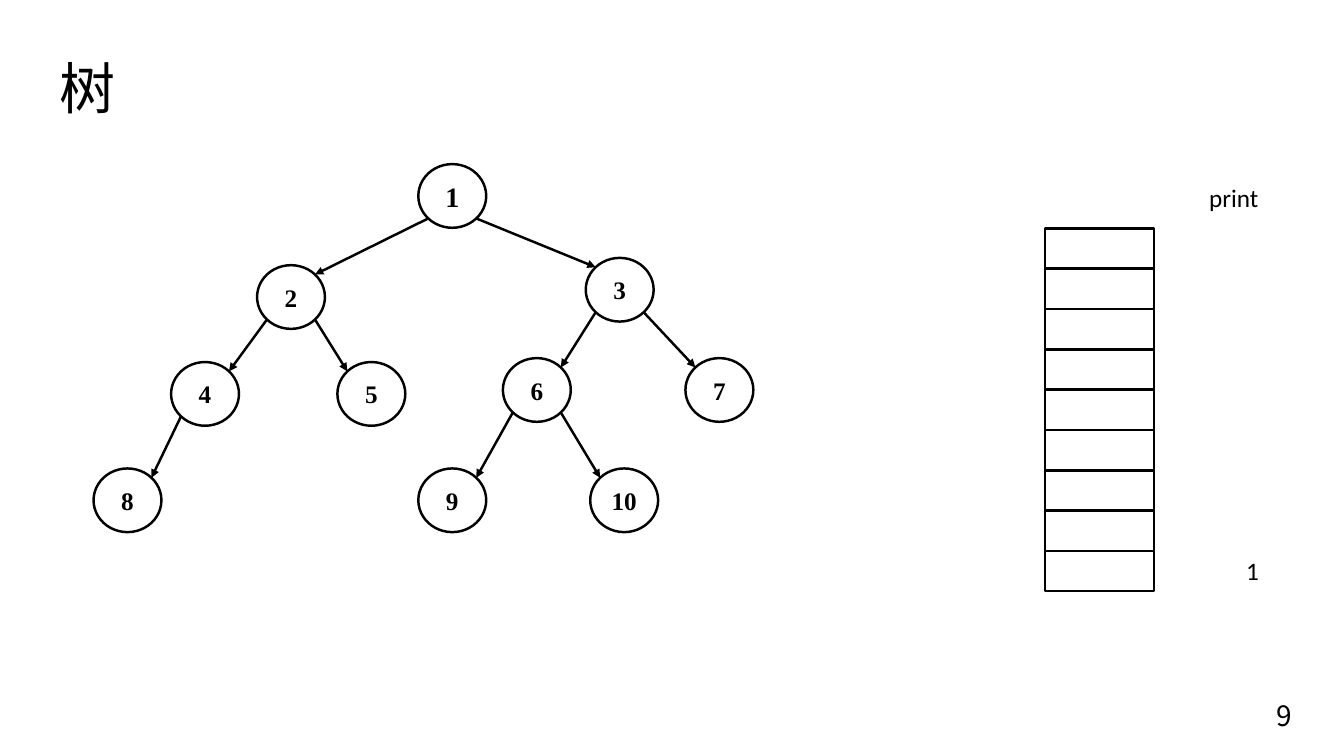
from lxml.etree import SubElement
from pptx import Presentation
from pptx.dml.color import RGBColor
from pptx.enum.shapes import MSO_CONNECTOR as Link, MSO_SHAPE as Preset
from pptx.enum.text import MSO_ANCHOR as Anchor, MSO_AUTO_SIZE as Fit, PP_ALIGN as Align
from pptx.oxml.ns import qn
from pptx.util import Pt

COLORS = {"ink": "000000", "paper": "FFFFFF"}
CJK, SERIF, SANS = "Noto Sans CJK SC", "Times New Roman", "Calibri"

NODE_W, NODE_H = 48.5, 45.5
DIAGONAL = 0.5 ** 0.5 / 2
NODES = {  # label: left, top
    1: (298.8, 117.2),
    2: (183.6, 189.4), 3: (418.4, 184.2),
    4: (122.2, 258.6), 5: (241, 258.6), 6: (359.2, 255.8), 7: (489.6, 255.8),
    8: (66.8, 334.6), 9: (298.8, 334.6), 10: (421.6, 334.6),
}
CHILDREN = {1: (2, 3), 2: (4, 5), 3: (6, 7), 4: (8,), 6: (9, 10)}
STACK_LEFT, STACK_TOP, CELL_W, CELL_H, CELLS = 746.4, 163.2, 77.8, 28.8, 9


def apply(target, values):
    """Set every attribute in values on target."""
    for name, value in values.items():
        setattr(target, name, value)


def rim_point(label, side, end):
    """Return the diagonal point on a node's rim; side and end are -1 or 1."""
    left, top = NODES[label]
    return (left + NODE_W * (0.5 + side * DIAGONAL),
            top + NODE_H * (0.5 + end * DIAGONAL))


class TreeSlide:
    """Hold the style and the slide being drawn."""

    def __init__(self, slide, ink=COLORS["ink"], stroke=1.75):
        """Keep the slide, ink colour and stroke width."""
        self.slide = slide
        self.ink = RGBColor.from_string(ink)
        self.stroke = Pt(stroke)
        background = slide.background.fill
        background.solid()
        background.fore_color.rgb = RGBColor.from_string(COLORS["paper"])

    def add_wording(self, holder, wording, font, size, bold=False, align=Align.LEFT,
                    spacing=1.0, **frame):
        """Put one styled line of text in a shape."""
        apply(holder.text_frame, frame)
        line = holder.text_frame.paragraphs[0]
        apply(line, {"alignment": align, "line_spacing": spacing})
        run = line.add_run()
        run.text = wording
        apply(run.font, {"name": font, "size": Pt(size), "bold": bold})
        run.font.color.rgb = self.ink
        SubElement(run.font._element, qn("a:ea"), typeface=font)

    def label(self, box, wording, font, size, **style):
        """Add a text box."""
        holder = self.slide.shapes.add_textbox(*map(Pt, box))
        self.add_wording(holder, wording, font, size, **style)

    def outline(self, preset, box):
        """Add an unfilled preset shape and return it."""
        shape = self.slide.shapes.add_shape(preset, *map(Pt, box))
        shape.shadow.inherit = False
        shape.fill.background()
        shape.line.color.rgb = self.ink
        shape.line.width = self.stroke
        return shape

    def node(self, number, size):
        """Add a numbered tree node."""
        circle = self.outline(Preset.OVAL, (*NODES[number], NODE_W, NODE_H))
        self.add_wording(circle, str(number), SERIF, size, bold=True, align=Align.CENTER,
                         word_wrap=False, vertical_anchor=Anchor.MIDDLE)

    def edge(self, start, end):
        """Add an arrow between two points."""
        arrow = self.slide.shapes.add_connector(Link.STRAIGHT, *map(Pt, (*start, *end)))
        arrow.line.color.rgb = self.ink
        arrow.line.width = self.stroke
        properties = arrow._element.spPr
        SubElement(properties.find(qn("a:ln")), qn("a:tailEnd"), type="triangle")
        SubElement(properties, qn("a:effectLst"))


def main():
    """Build and save the slide."""
    deck = Presentation()
    apply(deck, {"slide_width": Pt(960), "slide_height": Pt(540)})
    tree = TreeSlide(deck.slides.add_slide(deck.slide_layouts[6]))

    middle = {"word_wrap": True, "vertical_anchor": Anchor.MIDDLE}
    tree.label((35.2, 13, 880, 104.4), "树", CJK, 40, spacing=0.9, **middle)
    tree.label((866, 496.8, 64, 28.8), "9", CJK, 20, align=Align.RIGHT, **middle)

    for number in NODES:
        tree.node(number, 20 if number == 1 else 18)
    for parent, children in CHILDREN.items():
        for child in children:
            side = 1 if NODES[child][0] > NODES[parent][0] else -1
            tree.edge(rim_point(parent, side, 1), rim_point(child, -side, -1))

    for row in range(CELLS):
        tree.outline(Preset.RECTANGLE,
                     (STACK_LEFT, STACK_TOP + row * CELL_H, CELL_W, CELL_H))

    growing = {"word_wrap": False, "auto_size": Fit.SHAPE_TO_FIT_TEXT}
    tree.label((856.6, 126.8, 50.4, 29), "print", SANS, 18, **growing)
    tree.label((883, 393.2, 23.8, 29), "1", SANS, 18, **growing)
    deck.save("out.pptx")


main()
